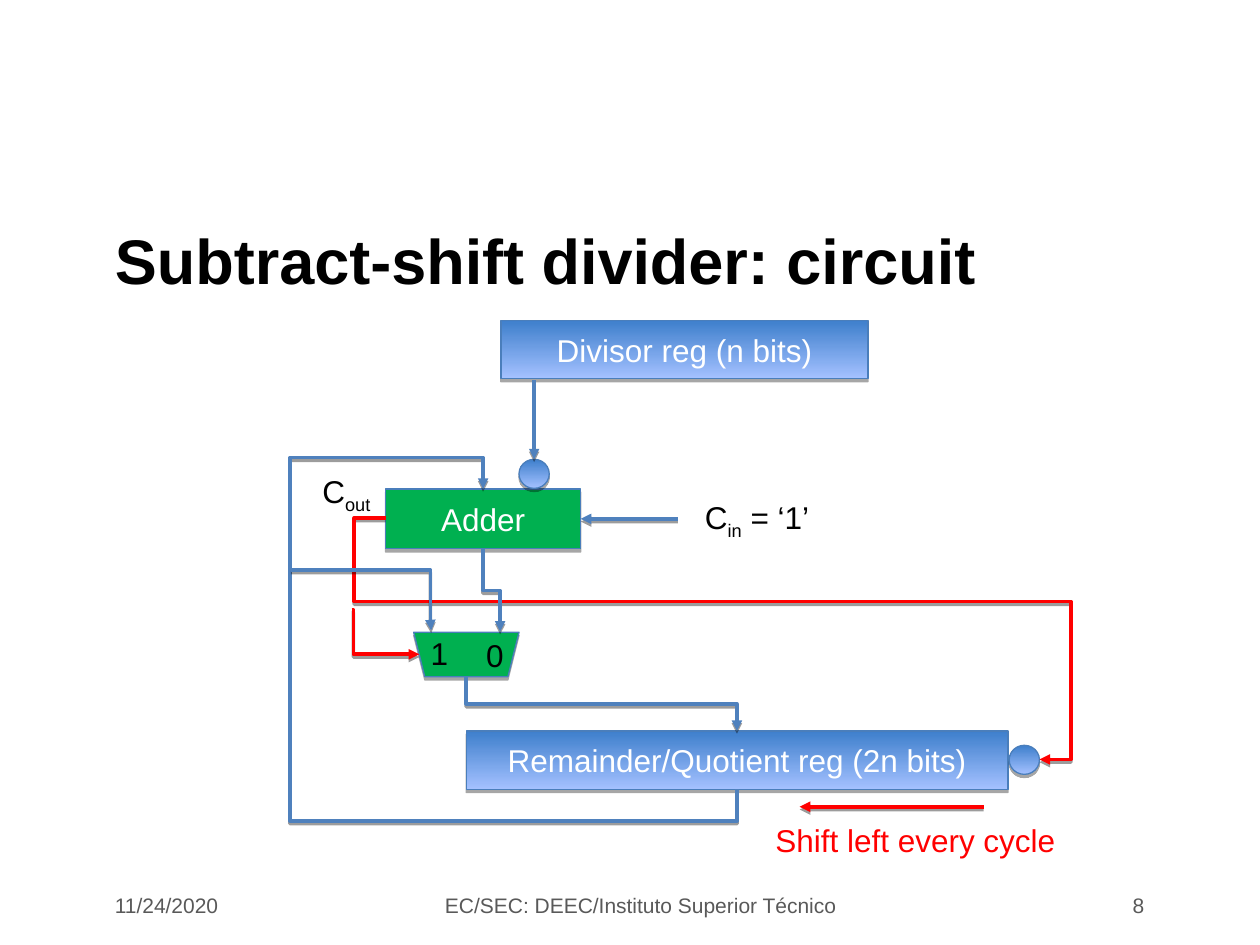
from lxml import etree
from pptx import Presentation
from pptx.dml.color import RGBColor
from pptx.enum import shapes, text
from pptx.oxml.ns import qn
from pptx.util import Pt

BLACK = RGBColor(0x00, 0x00, 0x00)
WHITE = RGBColor(0xFF, 0xFF, 0xFF)
GREY = RGBColor(0x59, 0x59, 0x59)
RED = RGBColor(0xFF, 0x00, 0x00)
GREEN = RGBColor(0x00, 0xB0, 0x50)
OUTLINE = RGBColor(0x4A, 0x7E, 0xBB)
WIRE = RGBColor(0x4F, 0x81, 0xBD)
DARK_BLUE = RGBColor(0x3E, 0x7F, 0xCC)
LIGHT_BLUE = RGBColor(0xA4, 0xC1, 0xFF)

LEFT, CENTER, RIGHT = text.PP_ALIGN.LEFT, text.PP_ALIGN.CENTER, text.PP_ALIGN.RIGHT
RECTANGLE, OVAL = shapes.MSO_SHAPE.RECTANGLE, shapes.MSO_SHAPE.OVAL
TRAPEZOID = shapes.MSO_SHAPE.TRAPEZOID
STRAIGHT, ELBOW = shapes.MSO_CONNECTOR.STRAIGHT, shapes.MSO_CONNECTOR.ELBOW


def add_child(parent, tag, **attributes):
    return etree.SubElement(parent, qn(tag), attributes)


def add_shadow(item, distance, opacity):
    """Give a shape or connector a sharp black shadow straight below it."""
    properties = item._element.spPr
    effects = properties.find(qn("a:effectLst"))
    if effects is None:
        effects = add_child(properties, "a:effectLst")
    shadow = add_child(effects, "a:outerShdw", blurRad="0", dist=str(Pt(distance)),
                       dir="5400000", rotWithShape="0")
    color = add_child(shadow, "a:srgbClr", val=str(BLACK))
    add_child(color, "a:alpha", val=str(opacity * 1000))


def style_text(frame, size, color, align, bold=False):
    for para in frame.paragraphs:
        para.alignment = align
        for span in para.runs:
            span.font.name = "Arial"
            span.font.size = Pt(size)
            span.font.bold = bold
            span.font.color.rgb = color


def add_title(page, wording):
    title = page.shapes.title
    title.left, title.top, title.width, title.height = Pt(58.5), Pt(114.2), Pt(602.6), Pt(68.4)
    title.text_frame.text = wording
    title.text_frame.vertical_anchor = text.MSO_ANCHOR.MIDDLE
    style_text(title.text_frame, 36, BLACK, LEFT, bold=True)


def add_footer(page, left, width, wording, align):
    box = page.shapes.add_textbox(Pt(left), Pt(504.7), Pt(width), Pt(24.5))
    frame = box.text_frame
    frame.word_wrap = True
    frame.vertical_anchor = text.MSO_ANCHOR.MIDDLE
    frame.text = wording
    style_text(frame, 12, GREY, align)


def add_label(page, left, top, width, height, wording, color=BLACK, subscript="", rest=""):
    box = page.shapes.add_textbox(Pt(left), Pt(top), Pt(width), Pt(height))
    frame = box.text_frame
    frame.word_wrap = False
    frame.auto_size = text.MSO_AUTO_SIZE.SHAPE_TO_FIT_TEXT
    para = frame.paragraphs[0]
    for part in filter(None, (wording, subscript, rest)):
        span = para.add_run()
        span.text = part
        if part == subscript:
            span._r.get_or_add_rPr().set("baseline", "-25000")
    style_text(frame, 18, color, LEFT)


def add_block(page, kind, left, top, width, height, wording="", color=None):
    """Add a circuit part; without a colour it gets the blue gradient."""
    block = page.shapes.add_shape(kind, Pt(left), Pt(top), Pt(width), Pt(height))
    if color is None:
        block.fill.gradient()
        block.fill.gradient_angle = 270
        for stop, shade, position in zip(block.fill.gradient_stops, (DARK_BLUE, LIGHT_BLUE), (0, 1)):
            stop.color.rgb = shade
            stop.position = position
    else:
        block.fill.solid()
        block.fill.fore_color.rgb = color
    block.line.color.rgb = OUTLINE
    block.line.width = Pt(0.75)
    block.shadow.inherit = False
    add_shadow(block, 1.8, 35)
    if wording:
        block.text_frame.text = wording
        block.text_frame.vertical_anchor = text.MSO_ANCHOR.MIDDLE
        style_text(block.text_frame, 18, WHITE, CENTER)
    return block


def style_wire(wire, color):
    wire.line.color.rgb = color
    wire.line.width = Pt(2)
    add_child(wire._element.spPr.find(qn("a:ln")), "a:tailEnd", type="triangle")
    add_shadow(wire, 1.6, 38)


def add_arrow(page, start, end, color=WIRE):
    wire = page.shapes.add_connector(STRAIGHT, *map(Pt, start + end))
    style_wire(wire, color)
    return wire


def add_elbow(page, start, end, bends, vertical=False, color=WIRE):
    """Add a bent arrow; bends are the coordinates of its inner segments,
    alternating between the starting axis and the other one."""
    along, across = (1, 0) if vertical else (0, 1)
    run, rise = end[along] - start[along], end[across] - start[across]
    middle = [(a + b) / 2 for a, b in zip(start, end)]
    left, top = middle[0] - abs(run) / 2, middle[1] - abs(rise) / 2
    wire = page.shapes.add_connector(ELBOW, Pt(left), Pt(top),
                                     Pt(left + abs(run)), Pt(top + abs(rise)))
    properties = wire._element.spPr
    frame = properties.find(qn("a:xfrm"))
    if vertical:
        frame.set("rot", "5400000")
    if run < 0:
        frame.set("flipH", "1")
    if (rise > 0) == vertical:
        frame.set("flipV", "1")

    geometry = properties.find(qn("a:prstGeom"))
    geometry.set("prst", f"bentConnector{len(bends) + 2}")
    guides = geometry.find(qn("a:avLst"))
    for number, bend in enumerate(bends, 1):
        axis, span = (along, run) if number % 2 else (across, rise)
        share = round((bend - start[axis]) / span * 100000)
        add_child(guides, "a:gd", name=f"adj{number}", fmla=f"val {share}")
    style_wire(wire, color)


def add_circuit(page):
    add_block(page, RECTANGLE, 286.2, 183, 209.8, 33.4, "Divisor reg (n bits)")
    add_block(page, RECTANGLE, 266.4, 417.7, 309.6, 33.4, "Remainder/Quotient reg (2n bits)")
    adder = add_block(page, RECTANGLE, 220.3, 279.4, 111.6, 34.2, "Adder", GREEN)
    divisor_inverter = add_block(page, OVAL, 296.6, 262.5, 17.3, 16.6)
    add_block(page, OVAL, 576.7, 425.9, 17.3, 16.6)
    mux = add_block(page, TRAPEZOID, 236.4, 361.3, 60.2, 25.4, color=GREEN)
    mux.rotation = 180

    carry_in = add_arrow(page, (387.4, 296.5), (331.9, 296.5))
    carry_in.end_connect(adder, 3)
    divisor_out = add_arrow(page, (305.25, 217.4), (305.25, 262.5))
    divisor_out.end_connect(divisor_inverter, 0)
    add_arrow(page, (562.1, 461), (457, 461), RED)

    add_elbow(page, (421.2, 451.1), (276.1, 279.4), (469.2, 165.7, 261.3), vertical=True)
    add_elbow(page, (220.3, 296), (594, 434), (202.3, 343.8, 612), color=RED)
    add_elbow(page, (276, 313.6), (285.8, 361), (337.5,), vertical=True)
    add_elbow(page, (266.4, 386.7), (421.1, 417.7), (402.3,), vertical=True)
    add_elbow(page, (201, 348.5), (239.6, 373.9), (202,), color=RED)
    add_elbow(page, (166.2, 325.6), (246.4, 360.2), (246,))

    add_label(page, 395.7, 281.2, 78, 31.7, "C", subscript="in", rest=" = ‘1’")
    add_label(page, 177.1, 266.4, 41.8, 31.7, "C", subscript="out")
    add_label(page, 239, 358.6, 24.5, 29, "1")
    add_label(page, 270.7, 360, 24.5, 29, "0")
    add_label(page, 436, 465.4, 180, 29, "Shift left every cycle", RED)


def main():
    deck = Presentation()
    deck.slide_width, deck.slide_height = Pt(720), Pt(540)
    page = deck.slides.add_slide(deck.slide_layouts[5])
    add_title(page, "Subtract-shift divider: circuit")
    add_footer(page, 58.5, 145.4, "11/24/2020", LEFT)
    add_footer(page, 246.2, 240, "EC/SEC: DEEC/Instituto Superior Técnico", CENTER)
    add_footer(page, 517, 144, "8", RIGHT)
    add_circuit(page)
    deck.save("out.pptx")


if __name__ == "__main__":
    main()
